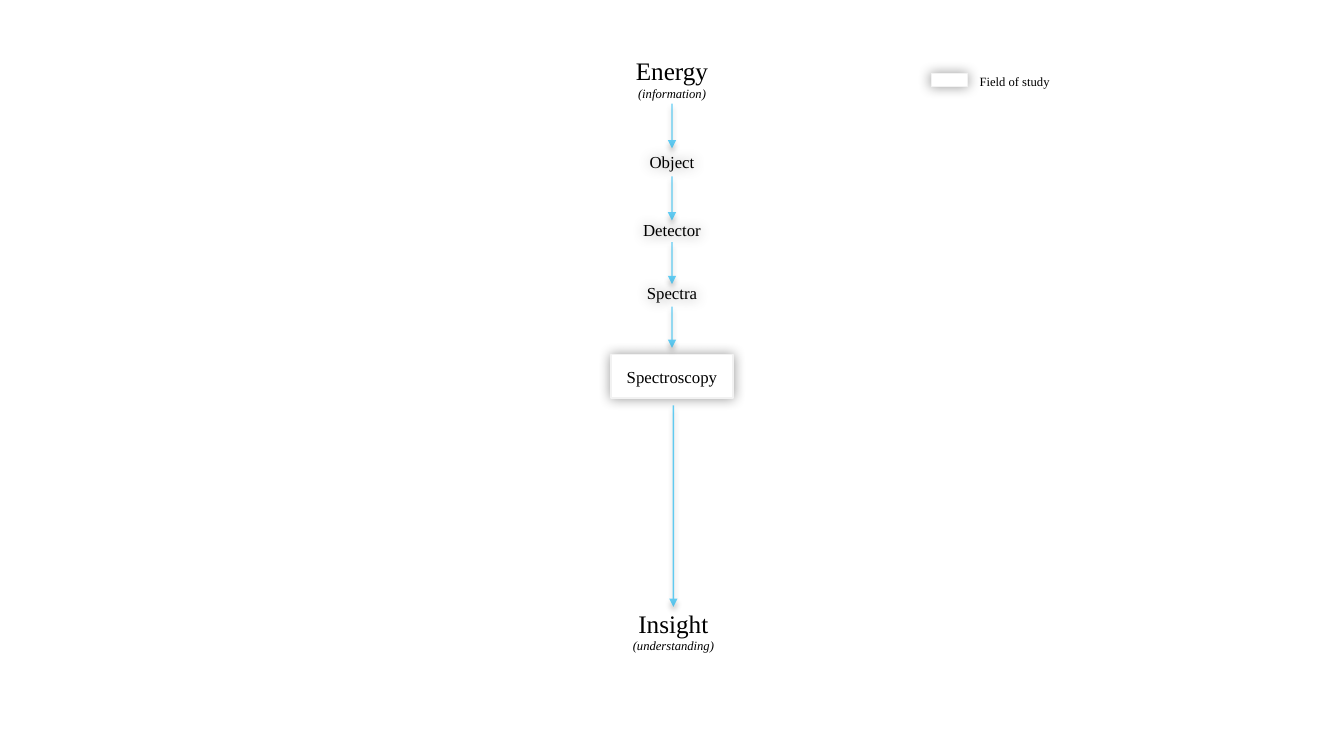
"""Build a slide that follows energy through spectroscopy to insight."""
from dataclasses import dataclass
from typing import Optional

import lxml.etree
import pptx
import pptx.dml.color
import pptx.enum.shapes
import pptx.enum.text
import pptx.oxml
import pptx.oxml.ns
import pptx.util

Pt = pptx.util.Pt
RGBColor = pptx.dml.color.RGBColor
qn = pptx.oxml.ns.qn

BLACK = RGBColor(0x00, 0x00, 0x00)
WHITE = RGBColor(0xFF, 0xFF, 0xFF)
LIGHT_GREY = RGBColor(0xF2, 0xF2, 0xF2)
ARROW_BLUE = RGBColor(0x00, 0xB0, 0xF0)
FONT = "Times New Roman"
CENTER = 480


@dataclass(frozen=True)
class Shadow:
    blur: float
    distance: float
    degrees: int


@dataclass(frozen=True)
class Box:
    center: float
    top: float
    width: float
    height: float


@dataclass(frozen=True)
class Label:
    title: str
    box: Box
    size: float
    subtitle: str = ""
    shadow: Optional[Shadow] = None


@dataclass(frozen=True)
class Arrow:
    center: float
    top: float
    bottom: float


HALO = Shadow(9, 0, 0)
DROP = Shadow(4, 3, 90)

LABELS = [
    Label("Energy", Box(CENTER, 36, 150, 40), 18, "(information)"),
    Label("Object", Box(CENTER, 100, 87, 31), 12, shadow=HALO),
    Label("Detector", Box(CENTER, 149, 87, 31), 12, shadow=HALO),
    Label("Spectra", Box(CENTER, 193.7, 87, 31), 12, shadow=HALO),
    Label("Insight", Box(CENTER + 1, 430.6, 150, 40), 18, "(understanding)"),
    Label("Field of study", Box(724.7, 49, 150, 18), 9),
]
FIELD = Label("Spectroscopy", Box(CENTER, 253.4, 87, 31), 12)
LEGEND_KEY = Box(678.2, 52.5, 26, 9.4)
ARROWS = [
    Arrow(CENTER, 74, 106),
    Arrow(CENTER, 126, 157.5),
    Arrow(CENTER, 173, 203),
    Arrow(CENTER, 219, 248.5),
    Arrow(CENTER + 1, 289.5, 433.5),
]


def add_shadow(shape, shadow: Shadow) -> None:
    """Give the shape a black outer shadow at 40 percent."""
    properties = shape._element.spPr
    for effects in properties.findall(qn("a:effectLst")):
        properties.remove(effects)
    effects = lxml.etree.SubElement(properties, qn("a:effectLst"))
    outer = lxml.etree.SubElement(
        effects, qn("a:outerShdw"), blurRad=str(Pt(shadow.blur)),
        dist=str(Pt(shadow.distance)), dir=str(shadow.degrees * 60000),
        algn="ctr", rotWithShape="0")
    color = lxml.etree.SubElement(outer, qn("a:srgbClr"), val=str(BLACK))
    lxml.etree.SubElement(color, qn("a:alpha"), val="40000")


def place(box: Box) -> tuple:
    """Return left, top, width and height of a centred box."""
    return (Pt(box.center - box.width / 2), Pt(box.top),
            Pt(box.width), Pt(box.height))


def write_label(shape, label: Label) -> None:
    """Write the title and any italic subtitle into the shape."""
    text_frame = shape.text_frame
    text_frame.word_wrap = True
    anchor = pptx.enum.text.MSO_ANCHOR
    text_frame.vertical_anchor = anchor.MIDDLE if label.size == 12 else anchor.TOP
    text_frame.text = label.title
    if label.subtitle:
        text_frame.add_paragraph().text = label.subtitle
    for index, paragraph in enumerate(text_frame.paragraphs):
        paragraph.alignment = pptx.enum.text.PP_ALIGN.CENTER
        font = paragraph.runs[0].font
        font.name = FONT
        font.size = Pt(9 if index else label.size)
        font.italic = index > 0
        font.color.rgb = BLACK


def add_label(slide, label: Label) -> None:
    """Add a text box for the label."""
    shape = slide.shapes.add_textbox(*place(label.box))
    write_label(shape, label)
    if label.shadow:
        add_shadow(shape, label.shadow)


def add_field_box(slide, box: Box):
    """Add a white box with a halo that marks a field of study."""
    shape = slide.shapes.add_shape(
        pptx.enum.shapes.MSO_SHAPE.RECTANGLE, *place(box))
    shape.fill.solid()
    shape.fill.fore_color.rgb = WHITE
    shape.line.color.rgb = LIGHT_GREY
    shape.line.width = Pt(1)
    add_shadow(shape, HALO)
    return shape


def add_arrow(slide, arrow: Arrow) -> None:
    """Add a translucent blue arrow that points down."""
    connector = slide.shapes.add_connector(
        pptx.enum.shapes.MSO_CONNECTOR.STRAIGHT, Pt(arrow.center),
        Pt(arrow.top), Pt(arrow.center), Pt(arrow.bottom))
    connector.line.color.rgb = ARROW_BLUE
    connector.line.width = Pt(1)
    line = connector.line._get_or_add_ln()
    color = line.find(".//" + qn("a:srgbClr"))
    lxml.etree.SubElement(color, qn("a:alpha"), val="60000")
    lxml.etree.SubElement(line, qn("a:tailEnd"), type="triangle")
    add_shadow(connector, DROP)


def main() -> None:
    """Build and save the presentation."""
    presentation = pptx.Presentation()
    presentation.slide_width = Pt(960)
    presentation.slide_height = Pt(540)
    slide = presentation.slides.add_slide(presentation.slide_layouts[6])
    write_label(add_field_box(slide, FIELD.box), FIELD)
    add_field_box(slide, LEGEND_KEY)
    for label in LABELS:
        add_label(slide, label)
    for arrow in ARROWS:
        add_arrow(slide, arrow)
    presentation.save("out.pptx")


main()
